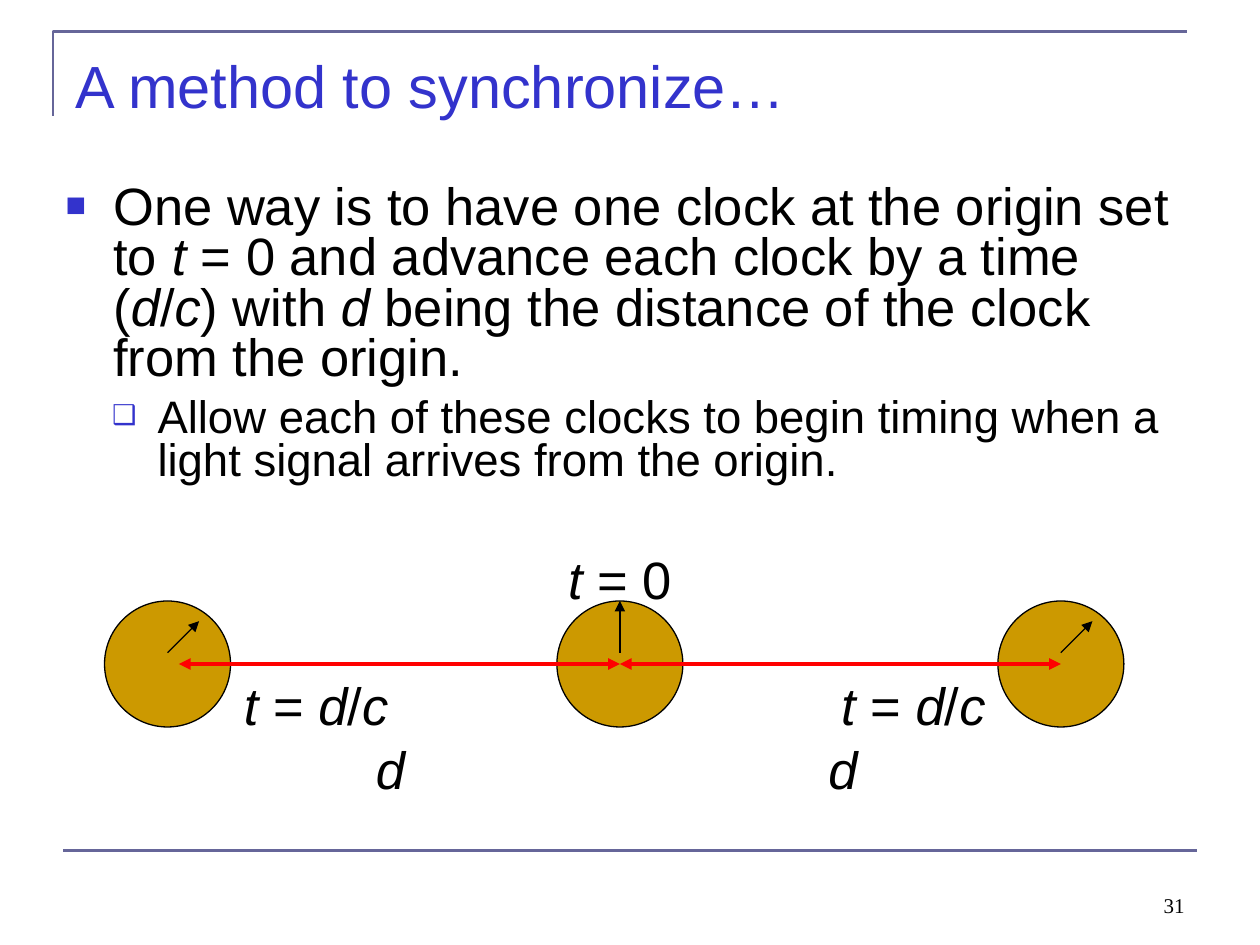
"""Build the clock synchronization slide."""
from lxml.etree import SubElement
from pptx import Presentation
from pptx.dml.color import RGBColor
from pptx.enum.shapes import MSO_CONNECTOR as CONN, MSO_SHAPE as SHAPE
from pptx.enum.text import MSO_ANCHOR as ANCHOR, MSO_AUTO_SIZE as AUTO, PP_ALIGN as ALIGN
from pptx.oxml.ns import qn
from pptx.util import Inches, Pt

COLORS = {"title": "3333CC", "rule": "666699", "clock": "CC9900",
          "light": "FF0000", "ink": "000000"}
W, H = 10, 7.5
TITLE = "A method to synchronize…"
BODY = [
    {"text": "One way is to have one clock at the origin set to *t* = 0 and advance "
             "each clock by a time (*d*/*c*) with *d* being the distance of the "
             "clock from the origin.",
     "size": 30, "before": 7.5, "left": 0.38, "hang": 0.38, "bullet": "■", "pct": 65},
    {"text": "Allow each of these clocks to begin timing when a light signal "
             "arrives from the origin.",
     "size": 26, "before": 6.5, "left": 0.73, "hang": 0.36, "bullet": "❑", "pct": 60},
]
LABELS = [("*t* = 0", 4.92, 4.29), ("*t* = *d*/*c*", 2.51, 5.29),
          ("*t* = *d*/*c*", 7.25, 5.29), ("*d*", 3.1, 5.8), ("*d*", 6.69, 5.8)]
CLOCK_TOP, CLOCK_SIZE = 4.77, 1
HAND_Y, LIGHT_Y = 5.18, 5.27
CLOCKS = [(4.92, (0, -0.41)), (1.33, (0.25, -0.25)), (8.42, (0.25, -0.25))]
SIGNALS = [(4.92, 8.42), (1.42, 4.92)]


def rgb(name):
    return RGBColor.from_string(COLORS[name])


def add_runs(p, text, size, color="ink", font="Arial"):
    for i, part in enumerate(text.split("*")):
        if part:
            r = p.add_run()
            r.text = part
            style = {"name": font, "size": Pt(size), "italic": i % 2 == 1}
            for key, value in style.items():
                setattr(r.font, key, value)
            r.font.color.rgb = rgb(color)


def set_frame(shape, box, anchor):
    for key, value in zip(("left", "top", "width", "height"), box):
        setattr(shape, key, Inches(value))
    tf = shape.text_frame
    for key, value in {"word_wrap": True, "auto_size": AUTO.NONE,
                       "vertical_anchor": anchor}.items():
        setattr(tf, key, value)
    return tf.paragraphs[0]


def add_label(s, text, box, size, align, anchor=ANCHOR.TOP, font="Arial"):
    tb = s.shapes.add_textbox(0, 0, 0, 0)
    p = set_frame(tb, box, anchor)
    p.alignment = align
    add_runs(p, text, size, font=font)


def add_line(s, start, end, color, width, ends=()):
    line = s.shapes.add_connector(CONN.STRAIGHT, *map(Inches, start + end))
    line.line.color.rgb = rgb(color)
    line.line.width = Pt(width)
    ln = line.line._get_or_add_ln()
    for tag in ends:
        SubElement(ln, qn(f"a:{tag}"), type="triangle")
    SubElement(line._element.spPr, qn("a:effectLst"))


def add_bullet(p, item):
    pPr = p._p.get_or_add_pPr()
    pPr.set("marL", str(Inches(item["left"])))
    pPr.set("indent", str(-Inches(item["hang"])))
    color = SubElement(pPr, qn("a:buClr"))
    SubElement(color, qn("a:srgbClr"), val=COLORS["title"])
    SubElement(pPr, qn("a:buSzPct"), val=str(item["pct"] * 1000))
    SubElement(pPr, qn("a:buFont"), typeface="Arial")
    SubElement(pPr, qn("a:buChar"), char=item["bullet"])


def add_frame(s):
    corner = [(0.42, 0.92), (0.42, 0.25), (9.42, 0.25)]
    points = [tuple(map(Inches, xy)) for xy in corner]
    builder = s.shapes.build_freeform(*points[0])
    builder.add_line_segments(points[1:], close=False)
    sp = builder.convert_to_shape()
    sp.shadow.inherit = False
    sp.fill.background()
    sp.line.color.rgb = rgb("rule")
    sp.line.width = Pt(1.5)
    add_line(s, (0.5, 0.9 * H), (W - 0.5, 0.9 * H), "rule", 1.5)


def add_text(s):
    title, body = s.placeholders
    p = set_frame(title, (0.5, 0.3, 9, 0.75), ANCHOR.MIDDLE)
    p.alignment = ALIGN.LEFT
    add_runs(p, TITLE, 34, "title")
    p = set_frame(body, (0.42, 1.42, 9, 4.92), ANCHOR.TOP)
    for level, item in enumerate(BODY):
        if level:
            p = body.text_frame.add_paragraph()
        for key, value in {"level": level, "line_spacing": 0.8,
                           "space_before": Pt(item["before"])}.items():
            setattr(p, key, value)
        add_bullet(p, item)
        add_runs(p, item["text"], item["size"])


def add_clocks(s):
    for text, center, top in LABELS:
        add_label(s, text, (center - 0.75, top, 1.5, 0.58), 30, ALIGN.CENTER)
    for x, _ in CLOCKS:
        box = (x - CLOCK_SIZE / 2, CLOCK_TOP, CLOCK_SIZE, CLOCK_SIZE)
        sp = s.shapes.add_shape(SHAPE.OVAL, *map(Inches, box))
        sp.shadow.inherit = False
        sp.fill.solid()
        sp.fill.fore_color.rgb = rgb("clock")
        sp.line.color.rgb = rgb("ink")
        sp.line.width = Pt(0.75)
    for x, (dx, dy) in CLOCKS:
        add_line(s, (x, HAND_Y), (x + dx, HAND_Y + dy), "ink", 0.75, ["tailEnd"])
    for left, right in SIGNALS:
        add_line(s, (left, LIGHT_Y), (right, LIGHT_Y), "light", 2.25,
                 ["headEnd", "tailEnd"])


def main():
    prs = Presentation()
    prs.slide_width, prs.slide_height = Inches(W), Inches(H)
    s = prs.slides.add_slide(prs.slide_layouts[1])
    add_frame(s)
    add_text(s)
    add_clocks(s)
    add_label(s, "31", (7.17, 6.83, 2.33, 0.5), 12, ALIGN.RIGHT,
              ANCHOR.BOTTOM, "Times New Roman")
    prs.save("out.pptx")


if __name__ == "__main__":
    main()
